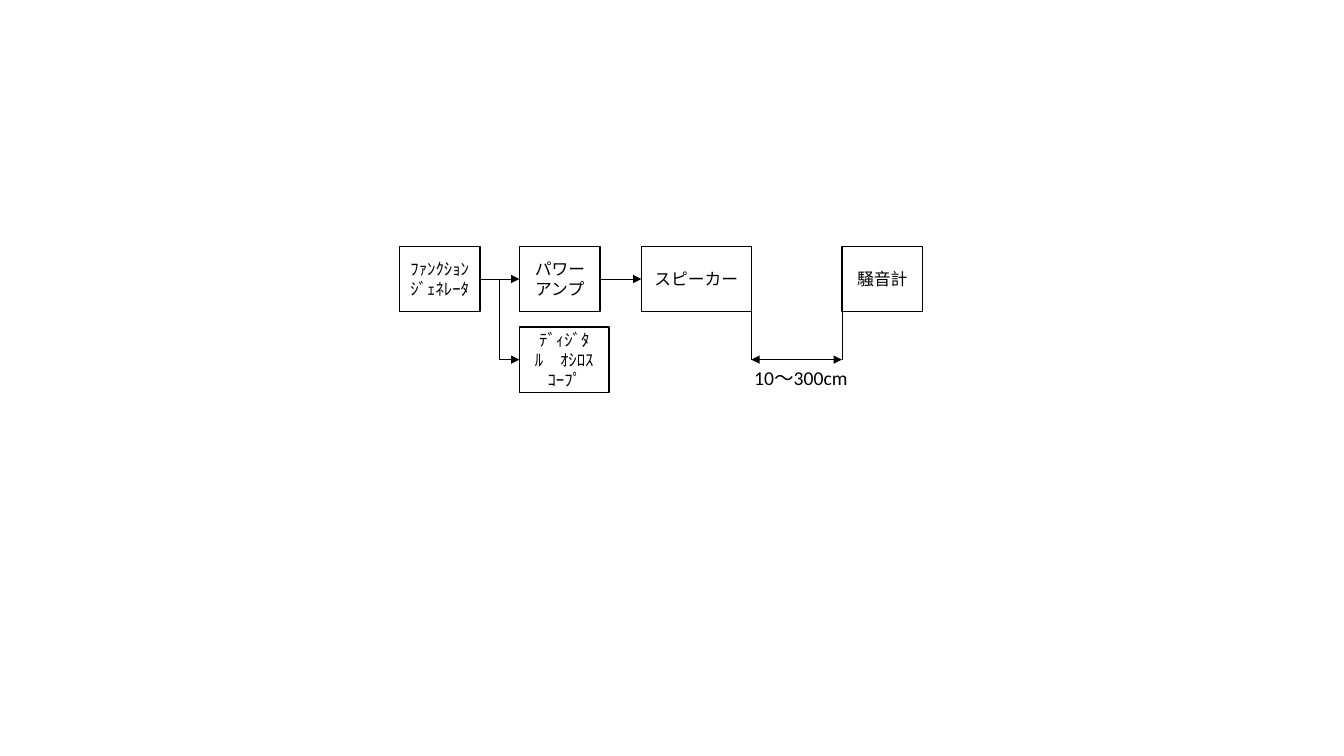
import pptx
import pptx.util
import pptx.dml.color
import pptx.enum.shapes
import pptx.enum.text
import pptx.oxml
import pptx.oxml.ns
from dataclasses import dataclass


@dataclass(frozen=True)
class Theme:
    ink: pptx.dml.color.RGBColor = pptx.dml.color.RGBColor(0, 0, 0)
    device_font: str = "Cambria"
    device_size: int = 12
    distance_font: str = "Calibri"
    distance_size: int = 14
    border: float = 1
    wire: float = 0.5


THEME = Theme()
UNIT = pptx.util.Inches(0.1)  # one column or row of the grid
RIGHT, LEFT = 3, 1  # connection sites of a rectangle
CONNECTOR = pptx.enum.shapes.MSO_CONNECTOR
ALIGN = pptx.enum.text.PP_ALIGN
ANCHOR = pptx.enum.text.MSO_ANCHOR

# Half-width katakana, escaped so that the width is kept
GENERATOR = "\uff8c\uff67\uff9d\uff78\uff7c\uff6e\uff9d\uff7c\uff9e\uff6a\uff88\uff9a\uff70\uff80"
OSCILLOSCOPE = ("\uff83\uff9e\uff68\uff7c\uff9e\uff80\uff99\u3000"
                "\uff75\uff7c\uff9b\uff7d\uff7a\uff70\uff8c\uff9f")


def grid(*cells):
    return [round(cell * UNIT) for cell in cells]


def write(shape, text, font, size, align=ALIGN.LEFT, anchor=ANCHOR.TOP, wrap=True):
    frame = shape.text_frame
    frame.word_wrap = wrap
    frame.vertical_anchor = anchor
    line = frame.paragraphs[0]
    line.alignment = align
    run = line.add_run()
    run.text = text
    run.font.name = font
    run.font.size = pptx.util.Pt(size)
    run.font.color.rgb = THEME.ink


def add_device(shapes, text, left, top, width, height):
    device = shapes.add_shape(pptx.enum.shapes.MSO_SHAPE.RECTANGLE,
                              *grid(left, top, width, height))
    device.shadow.inherit = False
    device.fill.background()
    device.line.color.rgb = THEME.ink
    device.line.width = pptx.util.Pt(THEME.border)
    write(device, text, THEME.device_font, THEME.device_size,
          align=ALIGN.CENTER, anchor=ANCHOR.MIDDLE)
    return device


def add_wire(shapes, start, end, kind=CONNECTOR.STRAIGHT, arrows=()):
    wire = shapes.add_connector(kind, *start, *end)
    wire.line.color.rgb = THEME.ink
    wire.line.width = pptx.util.Pt(THEME.wire)
    outline = wire.line._get_or_add_ln()
    for arrow in arrows:
        outline.append(pptx.oxml.parse_xml(
            f'<a:{arrow} {pptx.oxml.ns.nsdecls("a")} type="triangle"/>'))
    wire._element.spPr.append(pptx.oxml.parse_xml(
        f'<a:effectLst {pptx.oxml.ns.nsdecls("a")}/>'))
    return wire


def right_side(device):
    return device.left + device.width, device.top + device.height // 2


def left_side(device):
    return device.left, device.top + device.height // 2


def add_signal(shapes, source, target, kind=CONNECTOR.STRAIGHT):
    signal = add_wire(shapes, right_side(source), left_side(target), kind, ["tailEnd"])
    signal.begin_connect(source, RIGHT)
    signal.end_connect(target, LEFT)


def draw_setup(slide, left, top):
    """Draw the measuring setup with its corner at the given column and row."""
    shapes = slide.shapes.add_group_shape().shapes
    row_height, row_step = 6.5, 8

    # Devices: text, column, row, width
    generator, amplifier, speaker, oscilloscope, sound_meter = [
        add_device(shapes, text, left + column, top + row * row_step, width, row_height)
        for text, column, row, width in [
            (GENERATOR, 0, 0, 8),
            ("パワーアンプ", 11.9, 0, 8),
            ("スピーカー", 24, 0, 10.9),
            (OSCILLOSCOPE, 11.9, 1, 8.9),
            ("騒音計", 43.9, 0, 8),
        ]
    ]

    # Signal path
    add_signal(shapes, generator, amplifier)
    add_signal(shapes, amplifier, speaker)
    add_signal(shapes, generator, oscilloscope, CONNECTOR.ELBOW)

    # Distance between speaker and sound meter
    level = left_side(oscilloscope)[1]
    edges = [right_side(speaker), left_side(sound_meter)]
    ends = [(x, level) for x, _ in edges]
    add_wire(shapes, *ends, arrows=["headEnd", "tailEnd"])
    for edge, end in zip(edges, ends):
        add_wire(shapes, edge, end)
    distance = shapes.add_textbox(*grid(left + 34.2, top + 11.4, 12.2, 3.4))
    write(distance, "10～300cm", THEME.distance_font, THEME.distance_size, wrap=False)


deck = pptx.Presentation()
deck.slide_width, deck.slide_height = grid(133.33, 75)
setup_slide = deck.slides.add_slide(deck.slide_layouts[6])
draw_setup(setup_slide, 39.63, 24.43)
deck.save("out.pptx")
